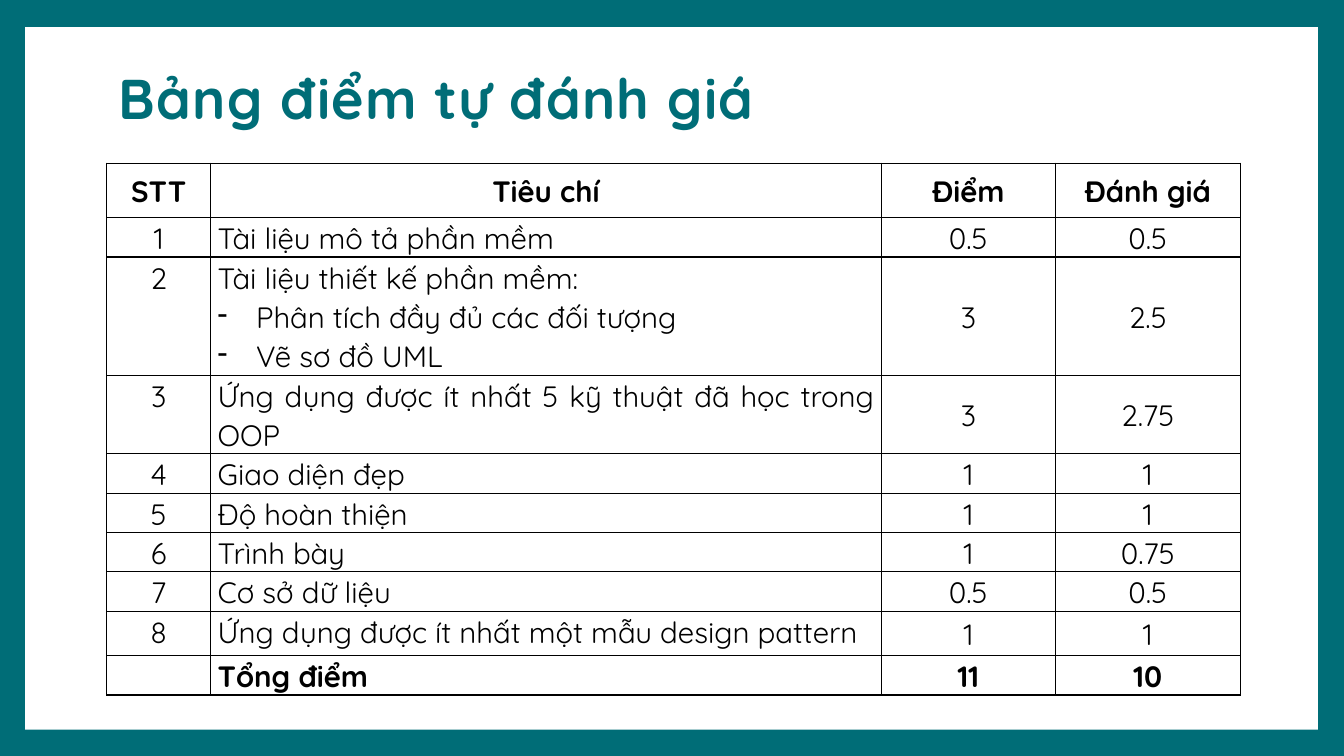
from dataclasses import dataclass

from lxml.etree import SubElement
from pptx import Presentation
from pptx.dml.color import RGBColor
from pptx.enum.shapes import MSO_SHAPE
from pptx.enum.text import MSO_ANCHOR, PP_ALIGN
from pptx.oxml.ns import qn
from pptx.util import Inches, Pt


@dataclass(frozen=True)
class Theme:
    """Colours, font and type sizes of the slide."""

    teal: RGBColor = RGBColor(0x00, 0x6D, 0x77)
    white: RGBColor = RGBColor(0xFF, 0xFF, 0xFF)
    black: RGBColor = RGBColor(0x00, 0x00, 0x00)
    font: str = "Quicksand"
    title_size: int = 40
    table_size: int = 21
    border_width: int = 1


THEME = Theme()
TITLE = "Bảng điểm tự đánh giá"
HEADER = ("STT", "Tiêu chí", "Điểm", "Đánh giá")
CRITERIA = (
    ("Tài liệu mô tả phần mềm", "0.5", "0.5"),
    ("Tài liệu thiết kế phần mềm:\n- Phân tích đầy đủ các đối tượng\n- Vẽ sơ đồ UML", "3", "2.5"),
    ("Ứng dụng được ít nhất 5 kỹ thuật đã học trong OOP", "3", "2.75"),
    ("Giao diện đẹp", "1", "1"),
    ("Độ hoàn thiện", "1", "1"),
    ("Trình bày", "1", "0.75"),
    ("Cơ sở dữ liệu", "0.5", "0.5"),
    ("Ứng dụng được ít nhất một mẫu design pattern", "1", "1"),
)
TOTAL = ("", "Tổng điểm", "11", "10")
COLUMN_WIDTHS = (1.03, 6.65, 1.73, 1.83)
LINE_HEIGHT = 0.39
ROW_HEIGHTS = (0.54, *(LINE_HEIGHT * lines for lines in (1, 3, 2, 1, 1, 1, 1)), 0.44, LINE_HEIGHT)


def set_font(paragraph, size, color, bold):
    """Apply the theme font to a whole paragraph."""
    font = paragraph.font
    font.name = THEME.font
    font.size = Pt(size)
    font.bold = bold
    font.color.rgb = color


def add_frame(slide, left, top, width, height):
    """Place the white page on the teal background."""
    slide.background.fill.solid()
    slide.background.fill.fore_color.rgb = THEME.teal
    page = slide.shapes.add_shape(
        MSO_SHAPE.RECTANGLE, Inches(left), Inches(top), Inches(width), Inches(height)
    )
    page.shadow.inherit = False
    page.fill.solid()
    page.fill.fore_color.rgb = THEME.white
    page.line.fill.background()


def add_title(slide, left, top, width, height):
    """Place the slide title in its box."""
    box = slide.shapes.add_textbox(Inches(left), Inches(top), Inches(width), Inches(height))
    frame = box.text_frame
    frame.word_wrap = True
    frame.vertical_anchor = MSO_ANCHOR.MIDDLE
    frame.margin_left = frame.margin_right = frame.margin_top = Inches(0.12)
    frame.margin_bottom = Inches(0.1)
    paragraph = frame.paragraphs[0]
    paragraph.text = TITLE
    set_font(paragraph, THEME.title_size, THEME.teal, True)
    paragraph._p.get_or_add_pPr().get_or_add_defRPr().set("spc", "90")


def set_borders(cell):
    """Draw a thin line on all four sides of a cell."""
    properties = cell._tc.get_or_add_tcPr()
    for side in ("lnL", "lnR", "lnT", "lnB"):
        line = SubElement(properties, qn(f"a:{side}"), w=str(Pt(THEME.border_width)))
        fill = SubElement(line, qn("a:solidFill"))
        SubElement(fill, qn("a:srgbClr"), val=str(THEME.black))


def set_dash_bullet(paragraph):
    """Give a paragraph a hanging dash bullet."""
    properties = paragraph._p.get_or_add_pPr()
    properties.set("marL", str(Inches(0.38)))
    properties.set("indent", str(-Inches(0.38)))
    bullet = SubElement(properties, qn("a:buChar"), char="-")
    properties.insert_element_before(bullet, "a:tabLst", "a:defRPr", "a:extLst")


def fill_cell(cell, text, alignment, anchor, bold):
    """Write the lines of a cell and style it."""
    cell.margin_left = cell.margin_right = Inches(0.07)
    cell.margin_top = cell.margin_bottom = 0
    cell.vertical_anchor = anchor
    set_borders(cell)
    cell.fill.background()
    cell.text = text.replace("\n- ", "\n")
    for line, paragraph in zip(text.split("\n"), cell.text_frame.paragraphs):
        paragraph.alignment = alignment
        paragraph.line_spacing = 1.07
        set_font(paragraph, THEME.table_size, THEME.black, bold)
        if line.startswith("- "):
            set_dash_bullet(paragraph)


def add_score_table(slide, left, top):
    """Place the table of criteria and scores from its top left corner."""
    numbered = [(str(number), *row) for number, row in enumerate(CRITERIA, 1)]
    rows = [HEADER, *numbered, TOTAL]
    table = slide.shapes.add_table(
        len(rows), len(HEADER), Inches(left), Inches(top),
        Inches(sum(COLUMN_WIDTHS)), Inches(sum(ROW_HEIGHTS)),
    ).table
    table.first_row = table.horz_banding = False
    for column, width in zip(table.columns, COLUMN_WIDTHS):
        column.width = Inches(width)
    for row_index, values in enumerate(rows):
        table.rows[row_index].height = Inches(ROW_HEIGHTS[row_index])
        is_header = values is HEADER
        for column_index, text in enumerate(values):
            is_criterion = column_index == 1 and not is_header
            alignment = PP_ALIGN.JUSTIFY if is_criterion else PP_ALIGN.CENTER
            is_middle = is_header or column_index > 1
            anchor = MSO_ANCHOR.MIDDLE if is_middle else MSO_ANCHOR.TOP
            bold = is_header or values is TOTAL
            fill_cell(table.cell(row_index, column_index), text, alignment, anchor, bold)


def main():
    """Build the self-assessment slide and save it."""
    presentation = Presentation()
    presentation.slide_width = Inches(13.33)
    presentation.slide_height = Inches(7.5)
    slide = presentation.slides.add_slide(presentation.slide_layouts[6])
    add_frame(slide, 0.25, 0.27, 12.82, 6.97)
    add_score_table(slide, 1.06, 1.62)
    add_title(slide, 1.06, 0.37, 9.93, 1.16)
    presentation.save("out.pptx")


if __name__ == "__main__":
    main()
